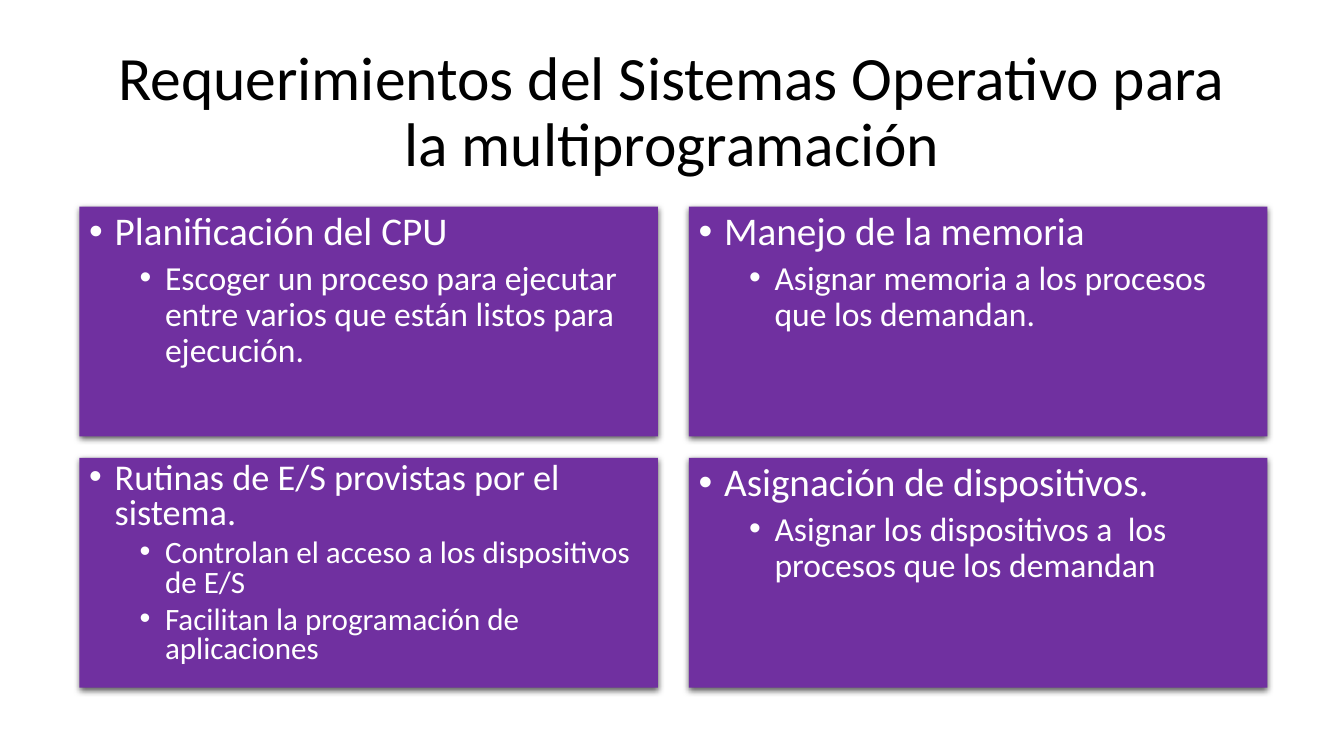
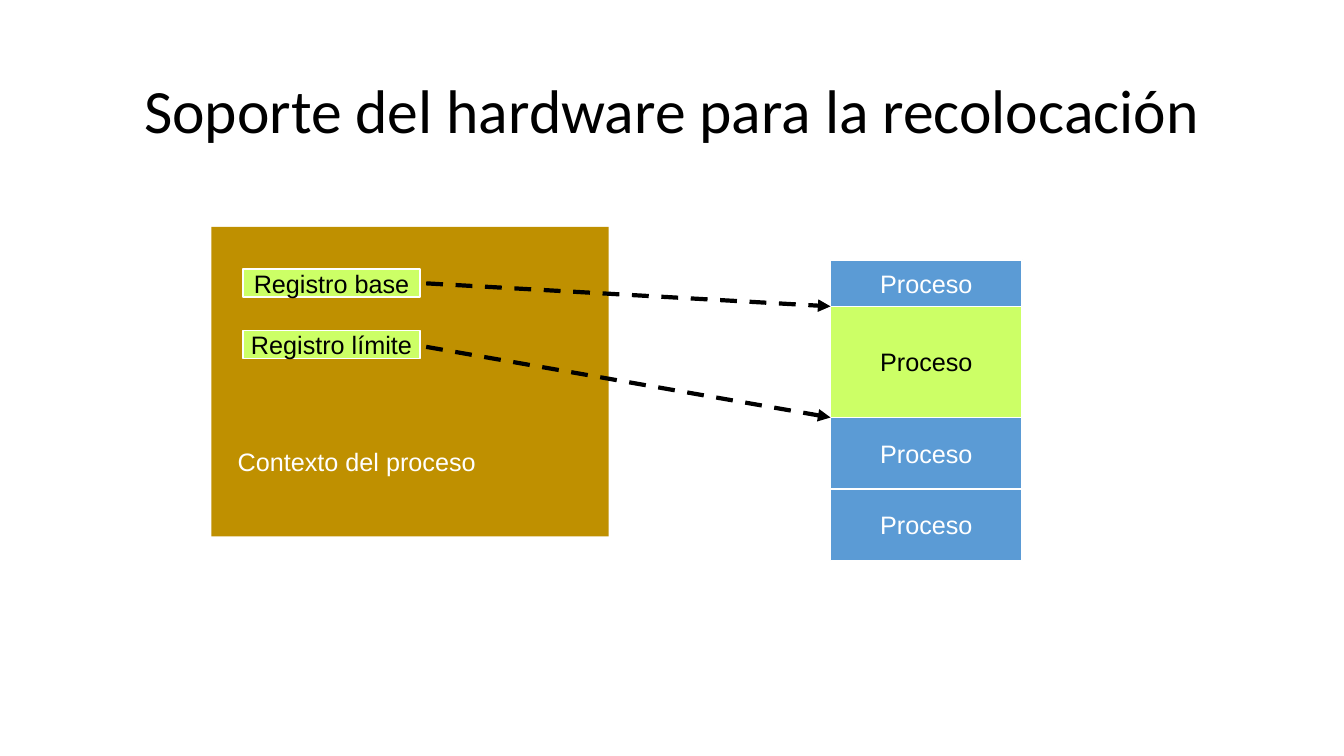
from itertools import product

from lxml.etree import SubElement
from pptx import Presentation
from pptx.dml.color import RGBColor
from pptx.enum.dml import MSO_LINE
from pptx.enum.shapes import MSO_CONNECTOR, MSO_SHAPE
from pptx.enum.text import MSO_ANCHOR, PP_ALIGN
from pptx.oxml import parse_xml
from pptx.oxml.ns import nsdecls, qn
from pptx.util import Cm, Pt

BLACK, WHITE = "000000", "FFFFFF"
PURPLE, GOLD, GREEN, BLUE = "7030A0", "BF9000", "CCFF66", "5B9BD5"
TITLE_FONT, LABEL_FONT = "Calibri", "Arial"

CARD_SHADOW = (
    f'<a:effectLst {nsdecls("a")}>'
    '<a:outerShdw blurRad="57150" dist="19050" dir="5400000" algn="ctr" rotWithShape="0">'
    '<a:srgbClr val="000000"><a:alpha val="63000"/></a:srgbClr>'
    '</a:outerShdw></a:effectLst>'
)


def color(hex_code):
    return RGBColor.from_string(hex_code)


class Deck:
    """Holds the shared style and the slide being built."""

    def __init__(self):
        self.prs = Presentation()
        self.prs.slide_width, self.prs.slide_height = Cm(33.87), Cm(19.05)
        self.slide = None

    def new_slide(self, heading):
        self.slide = self.prs.slides.add_slide(self.prs.slide_layouts[5])
        title = self.slide.shapes.title
        title.left, title.top, title.width, title.height = Cm(2.33), Cm(1.02), Cm(29.21), Cm(3.68)
        frame = title.text_frame
        frame.text = heading
        frame.word_wrap = True
        frame.vertical_anchor = MSO_ANCHOR.MIDDLE
        frame.paragraphs[0].line_spacing = 0.9
        self.style(frame.paragraphs[0], TITLE_FONT, 44, BLACK, PP_ALIGN.CENTER)

    def style(self, paragraph, font_name, size, hex_code, align):
        paragraph.alignment = align
        for run in paragraph.runs:
            run.font.name = font_name
            run.font.size = Pt(size)
            run.font.color.rgb = color(hex_code)

    def box(self, left, top, width, height, fill, outline=None):
        box = self.slide.shapes.add_shape(
            MSO_SHAPE.RECTANGLE, Cm(left), Cm(top), Cm(width), Cm(height))
        box.shadow.inherit = False
        box.fill.solid()
        box.fill.fore_color.rgb = color(fill)
        if outline:
            box.line.color.rgb = color(outline)
            box.line.width = Pt(1)
        else:
            box.line.fill.background()
        return box

    def write_label(self, shape, text, hex_code):
        frame = shape.text_frame
        frame.text = text
        frame.word_wrap = False
        frame.vertical_anchor = MSO_ANCHOR.MIDDLE
        self.style(frame.paragraphs[0], LABEL_FONT, 18, hex_code, PP_ALIGN.CENTER)

    def label_box(self, left, top, width, height, text, fill):
        box = self.box(left, top, width, height, fill, WHITE)
        self.write_label(box, text, BLACK if fill == GREEN else WHITE)

    def caption(self, left, top, width, height, text):
        caption = self.slide.shapes.add_textbox(Cm(left), Cm(top), Cm(width), Cm(height))
        self.write_label(caption, text, WHITE)

    def bullet(self, paragraph, level, size, spacing):
        paragraph.level = level
        paragraph.line_spacing = spacing
        props = paragraph._p.get_or_add_pPr()
        props.set("marL", str(Cm(1.91 if level else 0.64)))
        props.set("indent", str(-Cm(0.64)))
        SubElement(props, qn("a:buFont"), typeface="Arial")
        SubElement(props, qn("a:buChar"), char="•")
        self.style(paragraph, TITLE_FONT, size, WHITE, PP_ALIGN.LEFT)

    def card(self, left, top, width, height, heading, points, sizes, spacing):
        card = self.box(left, top, width, height, PURPLE)
        props = card._element.spPr
        props.replace(props.find(qn("a:effectLst")), parse_xml(CARD_SHADOW))
        frame = card.text_frame
        frame.word_wrap = True
        frame.vertical_anchor = MSO_ANCHOR.TOP
        frame.text = heading
        self.bullet(frame.paragraphs[0], 0, sizes[0], spacing)
        for point in points:
            paragraph = frame.add_paragraph()
            paragraph.text = point
            paragraph.space_before = Pt(5)
            self.bullet(paragraph, 1, sizes[1], spacing)

    def dashed_arrow(self, x1, y1, x2, y2):
        arrow = self.slide.shapes.add_connector(
            MSO_CONNECTOR.STRAIGHT, Cm(x1), Cm(y1), Cm(x2), Cm(y2))
        arrow.line.color.rgb = color(BLACK)
        arrow.line.width = Pt(3)
        arrow.line.dash_style = MSO_LINE.DASH
        SubElement(arrow.line._get_or_add_ln(), qn("a:tailEnd"), type="triangle")
        SubElement(arrow._element.spPr, qn("a:effectLst"))


def requirements_slide(deck):
    deck.new_slide("Requerimientos del Sistemas Operativo para la multiprogramación")
    normal, compact = ((28, 24), 0.9), ((25.9, 22.2), 0.8)
    requirements = [
        ("Planificación del CPU",
         ["Escoger un proceso para ejecutar entre varios que están listos para ejecución."],
         normal),
        ("Manejo de la memoria",
         ["Asignar memoria a los procesos que los demandan."], normal),
        ("Rutinas de E/S provistas por el sistema.",
         ["Controlan el acceso a los dispositivos de E/S",
          "Facilitan la programación de aplicaciones"], compact),
        ("Asignación de dispositivos.",
         ["Asignar los dispositivos a  los procesos que los demandan"], normal),
    ]
    # Two by two grid of cards
    width, height, gap_x, gap_y = 14.58, 5.79, 0.78, 0.54
    for (row, col), (heading, points, (sizes, spacing)) in zip(
            product(range(2), repeat=2), requirements):
        deck.card(2 + col * (width + gap_x), 5.21 + row * (height + gap_y),
                  width, height, heading, points, sizes, spacing)


def relocation_slide(deck):
    deck.new_slide("Soporte del hardware para la recolocación")

    # Process context with its registers
    deck.box(5.33, 5.72, 10.01, 7.8, GOLD)
    deck.caption(5.74, 11.13, 6.5, 1.02, "Contexto del proceso")
    for top, register in ((6.78, "Registro base"), (8.33, "Registro límite")):
        deck.label_box(6.12, top, 4.47, 0.71, register, GREEN)

    # Memory as a stack of processes
    memory_left, top = 20.93, 6.55
    bounds = []
    for height, fill in ((1.17, BLUE), (2.8, GREEN), (1.8, BLUE), (1.8, BLUE)):
        deck.label_box(memory_left, top, 4.83, height, "Proceso", fill)
        if fill == GREEN:
            bounds = [top, top + height]
        top += height

    # Registers point to the limits of the current process
    for start, bound in zip((7.14, 8.74), bounds):
        deck.dashed_arrow(10.74, start, memory_left, bound)


def main():
    deck = Deck()
    requirements_slide(deck)
    relocation_slide(deck)
    deck.prs.save("out.pptx")


if __name__ == "__main__":
    main()
